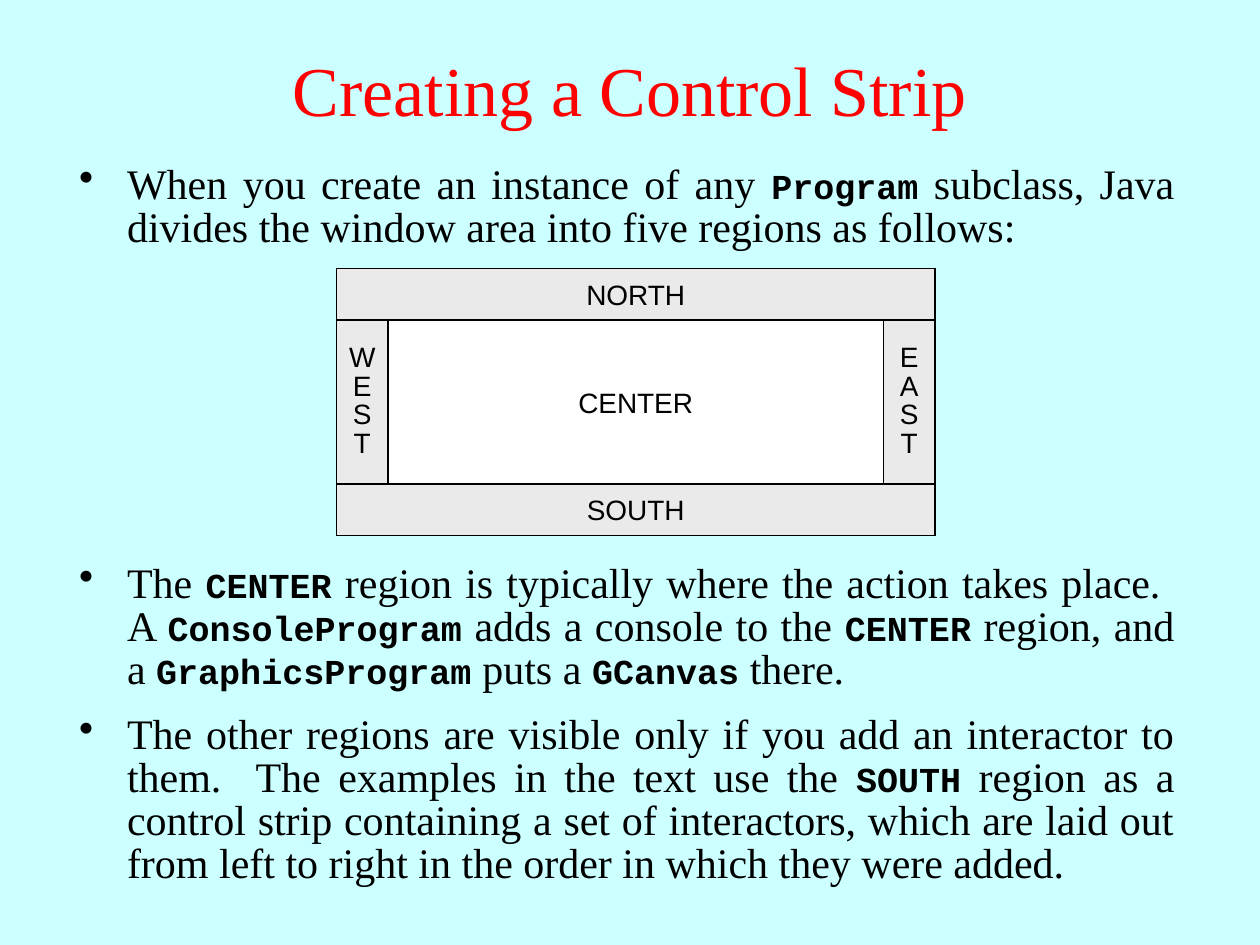
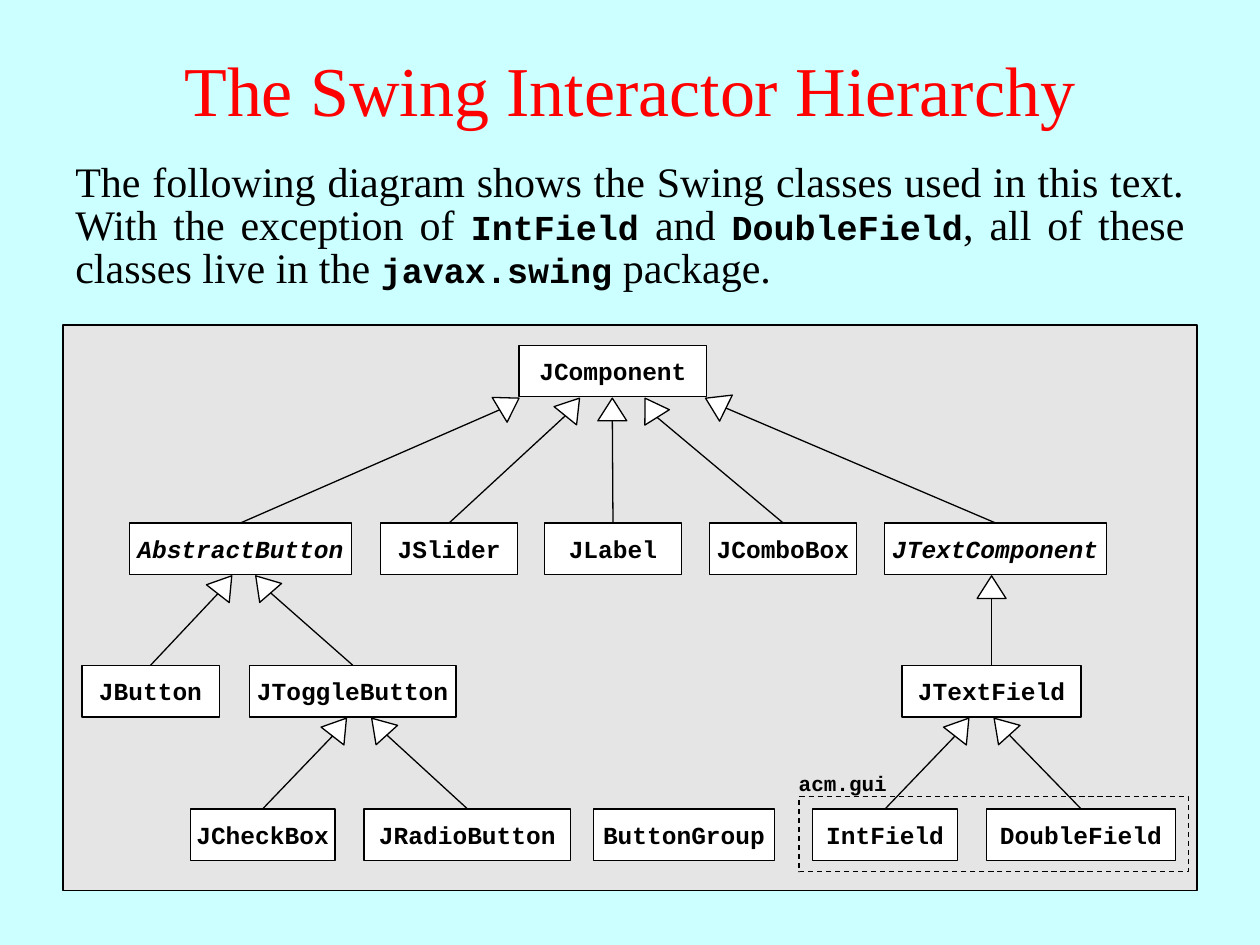
import dataclasses
import math

import pptx
import pptx.dml.color
import pptx.enum.dml
import pptx.enum.shapes
import pptx.enum.text
import pptx.oxml
import pptx.oxml.ns
import pptx.util

Inches = pptx.util.Inches
Pt = pptx.util.Pt
Shape = pptx.enum.shapes.MSO_SHAPE
Align = pptx.enum.text.PP_ALIGN
Anchor = pptx.enum.text.MSO_ANCHOR


@dataclasses.dataclass(frozen=True)
class Theme:
    """Colours, fonts and type sizes shared by the slides."""

    background: str = "CCFFFF"
    title: str = "FF0000"
    ink: str = "000000"
    white: str = "FFFFFF"
    border_region: str = "EAEAEA"
    panel: str = "E5E5E5"
    serif: str = "Times New Roman"
    sans: str = "Arial"
    mono: str = "Courier New"
    title_size: int = 40
    body_size: int = 24
    code_size: int = 20
    region_size: int = 16
    class_size: int = 14
    package_size: int = 12
    line_width: float = 0.75
    tight: float = 0.85


THEME = Theme()
BULLETS = [
    (1.26, 1.24, "When you create an instance of any `Program` subclass, Java divides "
     "the window area into five regions as follows:"),
    (4.43, 1.24, "The `CENTER` region is typically where the action takes place.  "
     "A `ConsoleProgram` adds a console to the `CENTER` region, and "
     "a `GraphicsProgram` puts a `GCanvas` there."),
    (5.63, 1.54, "The other regions are visible only if you add an interactor to them.  "
     "The examples in the text use the `SOUTH` region as a control strip containing "
     "a set of interactors, which are laid out from left to right in the order in "
     "which they were added."),
]
HIERARCHY_INTRO = (
    "The following diagram shows the Swing classes used in this text. With the "
    "exception of `IntField` and `DoubleField`, all of these classes live in the "
    "`javax.swing` package."
)
CLASS_HEIGHT = 0.41
CLASS_ROWS = {
    2.74: [("JComponent", 4.12, 1.49)],
    4.15: [("AbstractButton", 1.03, 1.76), ("JSlider", 3.02, 1.09), ("JLabel", 4.32, 1.09),
           ("JComboBox", 5.63, 1.17), ("JTextComponent", 7.02, 1.76)],
    5.28: [("JButton", 0.65, 1.09), ("JToggleButton", 1.98, 1.64), ("JTextField", 7.16, 1.42)],
    6.42: [("JCheckBox", 1.51, 1.15), ("JRadioButton", 2.89, 1.64), ("ButtonGroup", 4.71, 1.44),
           ("IntField", 6.45, 1.15), ("DoubleField", 7.83, 1.5)],
}
ABSTRACT_CLASSES = {"AbstractButton", "JTextComponent"}
INHERITANCE = [
    ("AbstractButton", "JComponent", 4.12, 59),
    ("JSlider", "JComponent", 4.6, 39),
    ("JLabel", "JComponent", 4.86, 0),
    ("JComboBox", "JComponent", 5.12, -32),
    ("JTextComponent", "JComponent", 5.6, -64),
    ("JButton", "AbstractButton", 1.84, 38),
    ("JToggleButton", "AbstractButton", 2.03, -41),
    ("JTextField", "JTextComponent", 7.87, 0),
    ("JCheckBox", "JToggleButton", 2.75, 38),
    ("JRadioButton", "JToggleButton", 2.95, -42),
    ("IntField", "JTextField", 7.69, 38),
    ("DoubleField", "JTextField", 7.89, -42),
]


def rgb(colour):
    """Return the colour object for a hex string."""
    return pptx.dml.color.RGBColor.from_string(colour)


def style_font(font, name, size, colour=THEME.ink, bold=False, italic=False):
    """Set the face, size, colour and weight of a font."""
    font.name, font.size = name, Pt(size)
    font.color.rgb = rgb(colour)
    font.bold, font.italic = bold, italic


def style_line(line):
    """Give an outline or connector the common thin stroke."""
    line.color.rgb = rgb(THEME.ink)
    line.width = Pt(THEME.line_width)


def add_text(slide, box, text=""):
    """Add a wrapping text box and return its first paragraph."""
    tf = slide.shapes.add_textbox(*map(Inches, box)).text_frame
    tf.word_wrap = True
    tf.text = text
    return tf.paragraphs[0]


def add_slide(prs, title):
    """Add a slide with the common background and title."""
    s = prs.slides.add_slide(prs.slide_layouts[6])
    s.background.fill.solid()
    s.background.fill.fore_color.rgb = rgb(THEME.background)
    p = add_text(s, (0, 0.08, 10, 1.25), title)
    p.alignment = Align.CENTER
    style_font(p.runs[0].font, THEME.serif, THEME.title_size, THEME.title)
    s.shapes[0].text_frame.vertical_anchor = Anchor.MIDDLE
    return s


def add_bullet(p):
    """Give a paragraph a round bullet with a hanging indent."""
    pPr = p._p.get_or_add_pPr()
    pPr.set("marL", str(Inches(0.38)))
    pPr.set("indent", str(-Inches(0.38)))
    ns = pptx.oxml.ns.nsdecls("a")
    pPr.append(pptx.oxml.parse_xml(f'<a:buClr {ns}><a:srgbClr val="{THEME.ink}"/></a:buClr>'))
    pPr.append(pptx.oxml.parse_xml(f'<a:buChar {ns} char="•"/>'))


def add_body(slide, box, text, bullet=False):
    """Add justified prose in which backticks mark code."""
    p = add_text(slide, box)
    if bullet:
        add_bullet(p)
    p.alignment = Align.JUSTIFY
    p.line_spacing = THEME.tight
    for i, part in enumerate(text.split("`")):
        r = p.add_run()
        r.text = part
        if i % 2:
            style_font(r.font, THEME.mono, THEME.code_size, bold=True)
        else:
            style_font(r.font, THEME.serif, THEME.body_size)


def add_outlined(slide, box, fill=None, kind=Shape.RECTANGLE):
    """Add a thin-outlined shape, hollow when no fill is given."""
    sp = slide.shapes.add_shape(kind, *map(Inches, box))
    sp.shadow.inherit = False
    if fill:
        sp.fill.solid()
        sp.fill.fore_color.rgb = rgb(fill)
    else:
        sp.fill.background()
    style_line(sp.line)
    return sp


def label_shape(sp, text, wrap):
    """Centre text in a shape and return its paragraph."""
    tf = sp.text_frame
    tf.text = text
    tf.word_wrap = wrap
    tf.vertical_anchor = Anchor.MIDDLE
    tf.margin_left = tf.margin_right = Inches(0.09)
    p = tf.paragraphs[0]
    p.alignment = Align.CENTER
    return p


def add_region(slide, name, box, fill):
    """Add one labelled region of the program window."""
    p = label_shape(add_outlined(slide, box, fill), name, True)
    p.line_spacing = THEME.tight if box[2] < box[3] else 1.0
    style_font(p.runs[0].font, THEME.sans, THEME.region_size)


def add_window(slide, left, top, width, height, band):
    """Draw the window with four border regions around the centre."""
    inner_top, inner_height = top + band, height - 2 * band
    add_region(slide, "CENTER", (left, top, width, height), THEME.white)
    for name, box in {
        "WEST": (left, inner_top, band, inner_height),
        "EAST": (left + width - band, inner_top, band, inner_height),
        "NORTH": (left, top, width, band),
        "SOUTH": (left, top + height - band, width, band),
    }.items():
        add_region(slide, name, box, THEME.border_region)


def add_class(slide, name, left, top, width):
    """Add a class box, in italics when the class is abstract."""
    sp = add_outlined(slide, (left, top, width, CLASS_HEIGHT), THEME.white)
    p = label_shape(sp, name, False)
    style_font(p.runs[0].font, THEME.mono, THEME.class_size, bold=True,
               italic=name in ABSTRACT_CLASSES)
    return sp


def add_inheritance(slide, child, parent, tip_x, tilt):
    """Draw a line from a subclass to a hollow arrowhead under its parent."""
    width, height = 0.23, 0.18
    dx, dy = math.sin(math.radians(tilt)), -math.cos(math.radians(tilt))
    tip_y = (parent.top + parent.height) / Inches(1) + 0.01
    mid_x, mid_y = tip_x - dx * height / 2, tip_y - dy * height / 2
    head = add_outlined(slide, (mid_x - width / 2, mid_y - height / 2, width, height),
                        THEME.white, Shape.ISOSCELES_TRIANGLE)
    head.rotation = tilt
    line = slide.shapes.add_connector(
        pptx.enum.shapes.MSO_CONNECTOR.STRAIGHT, child.left + child.width // 2, child.top,
        Inches(tip_x - dx * height), Inches(tip_y - dy * height))
    line.begin_connect(child, 0)
    style_line(line.line)
    line._element.spPr.append(
        pptx.oxml.parse_xml(f'<a:effectLst {pptx.oxml.ns.nsdecls("a")}/>'))


def add_package(slide, name):
    """Draw the dashed package frame and its name."""
    frame = add_outlined(slide, (6.34, 6.32, 3.09, 0.6))
    frame.line.dash_style = pptx.enum.dml.MSO_LINE.DASH
    p = add_text(slide, (6.24, 6.07, 0.92, 0.3), name)
    style_font(p.runs[0].font, THEME.mono, THEME.package_size, bold=True)


def build_control_strip(prs):
    """Build the slide about window regions."""
    s = add_slide(prs, "Creating a Control Strip")
    for top, height, text in BULLETS:
        add_body(s, (0.53, top, 8.89, height), text, bullet=True)
    add_window(s, 2.67, 2.13, 4.75, 2.12, 0.41)


def build_hierarchy(prs):
    """Build the slide with the class diagram."""
    s = add_slide(prs, "The Swing Interactor Hierarchy")
    add_body(s, (0.5, 1.25, 9, 1.46), HIERARCHY_INTRO)
    add_outlined(s, (0.5, 2.58, 9, 4.49), THEME.panel)
    classes = {name: add_class(s, name, left, top, width)
               for top, row in CLASS_ROWS.items() for name, left, width in row}
    for child, parent, tip_x, tilt in INHERITANCE:
        add_inheritance(s, classes[child], classes[parent], tip_x, tilt)
    add_package(s, "acm.gui")


def main():
    """Build and save the presentation."""
    prs = pptx.Presentation()
    prs.slide_width, prs.slide_height = Inches(10), Inches(7.5)
    build_control_strip(prs)
    build_hierarchy(prs)
    prs.save("out.pptx")


if __name__ == "__main__":
    main()
